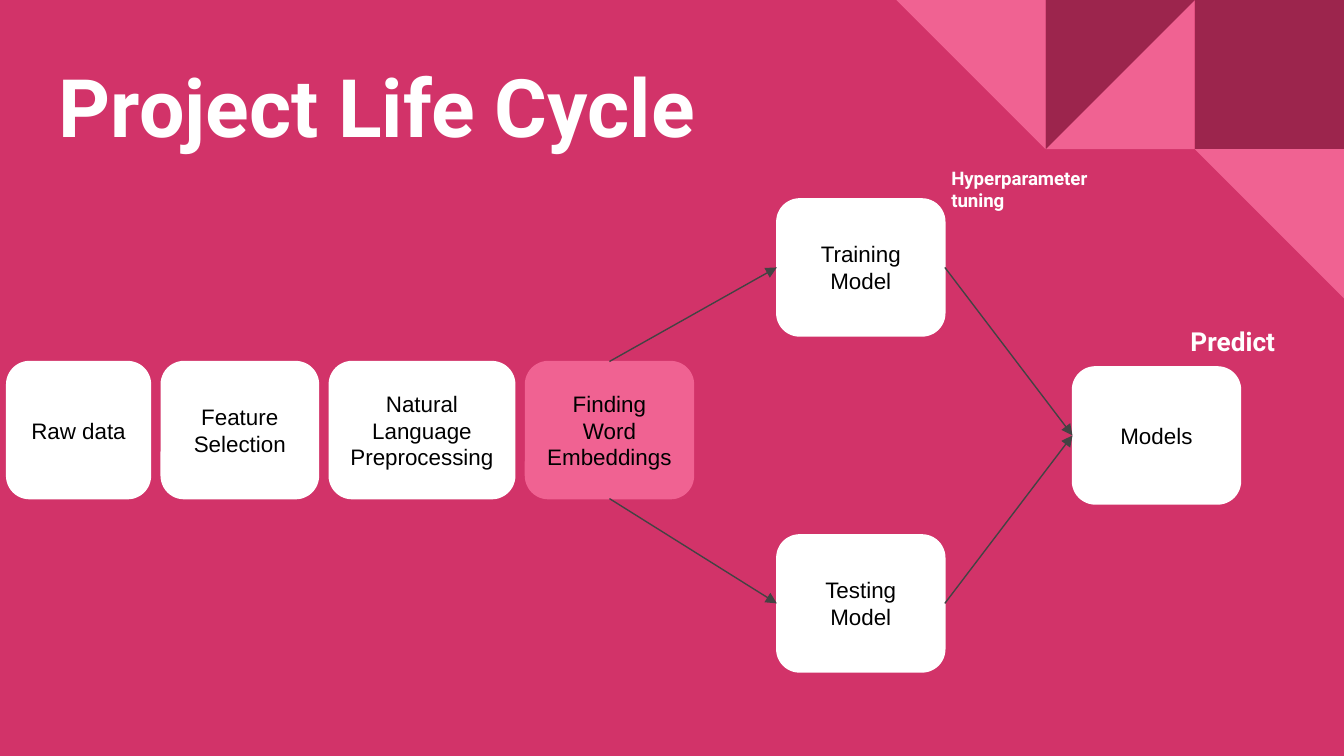
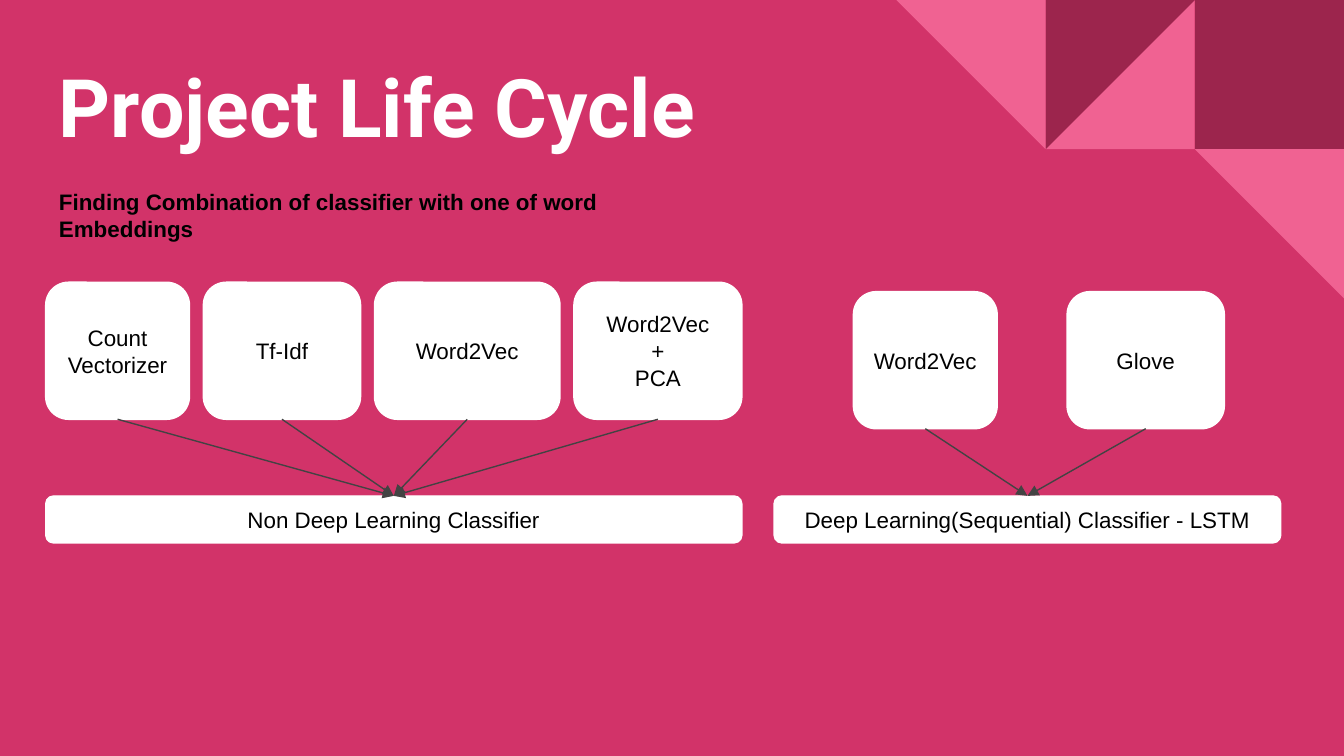
from dataclasses import dataclass

from lxml.etree import SubElement
from pptx import Presentation
from pptx.dml.color import RGBColor
from pptx.enum.shapes import MSO_CONNECTOR, MSO_SHAPE
from pptx.enum.text import MSO_ANCHOR, MSO_AUTO_SIZE, PP_ALIGN
from pptx.oxml.ns import qn
from pptx.shapes.autoshape import Shape
from pptx.slide import Slide
from pptx.text.text import TextFrame
from pptx.util import Inches, Pt

HUES = {
    "back": "D23369",
    "dark": "9C254D",
    "pink": "F06292",
    "white": "FFFFFF",
    "black": "000000",
    "gray": "434343",
}
TILE = 1.11  # side of a corner tile
TALL = 1.02  # height of a step box
WIDTHS = (1.07, 1.17, 1.38, 1.25)  # step boxes from left to right
TOP, LEFT, BOTTOM, RIGHT = range(4)  # connection sites of a box


@dataclass
class Tile:
    col: int  # columns from the right edge, starting at 1
    row: int
    hue: str
    kind: MSO_SHAPE = MSO_SHAPE.RIGHT_TRIANGLE
    turn: int = 180
    flip: bool = False


@dataclass
class Box:
    left: float
    top: float
    width: float
    text: str
    height: float = TALL
    hue: str = "white"


@dataclass
class Label:
    left: float
    top: float
    width: float
    height: float
    text: str
    size: float
    face: str = "Roboto"
    hue: str = "white"
    fit: bool = True  # the box grows with its text


TILES = (
    Tile(1, 0, "dark", MSO_SHAPE.RECTANGLE, 0),
    Tile(2, 0, "pink", turn=0, flip=True),
    Tile(2, 0, "dark", flip=True),
    Tile(3, 0, "pink"),
    Tile(1, 1, "pink"),
)
TITLE = Label(0.34, 0.45, 9.32, 0.66, "Project Life Cycle", 43.2, fit=False)


def rgb(hue: str) -> RGBColor:
    return RGBColor.from_string(HUES[hue])


def write(frame: TextFrame, text: str, size: float, face: str, hue: str,
          bold: bool, align: PP_ALIGN) -> None:
    frame.word_wrap = True
    frame.margin_left = frame.margin_right = Inches(0.1)
    frame.margin_top = frame.margin_bottom = Inches(0.1)
    frame.text = text
    for para in frame.paragraphs:
        para.alignment = align
        font = para.font
        font.size, font.name, font.bold = Pt(size), face, bold
        font.color.rgb = rgb(hue)


def add_tile(slide: Slide, tile: Tile) -> None:
    shape = slide.shapes.add_shape(
        tile.kind, Inches(10 - tile.col * TILE), Inches(tile.row * TILE),
        Inches(TILE), Inches(TILE))
    shape.shadow.inherit = False
    shape.fill.solid()
    shape.fill.fore_color.rgb = rgb(tile.hue)
    shape.line.fill.background()
    shape.rotation = tile.turn
    if tile.flip:
        shape.element.spPr.find(qn("a:xfrm")).set("flipH", "1")


def add_label(slide: Slide, label: Label) -> None:
    shape = slide.shapes.add_textbox(
        Inches(label.left), Inches(label.top),
        Inches(label.width), Inches(label.height))
    frame = shape.text_frame
    write(frame, label.text, label.size, label.face, label.hue, True, PP_ALIGN.LEFT)
    if label.fit:
        frame.auto_size = MSO_AUTO_SIZE.SHAPE_TO_FIT_TEXT
    else:
        frame.vertical_anchor = MSO_ANCHOR.MIDDLE


def add_box(slide: Slide, box: Box) -> Shape:
    shape = slide.shapes.add_shape(
        MSO_SHAPE.ROUNDED_RECTANGLE, Inches(box.left), Inches(box.top),
        Inches(box.width), Inches(box.height))
    shape.shadow.inherit = False
    shape.fill.solid()
    shape.fill.fore_color.rgb = rgb(box.hue)
    shape.line.color.rgb = rgb(box.hue)
    shape.line.width = Pt(0.75)
    shape.text_frame.vertical_anchor = MSO_ANCHOR.MIDDLE
    write(shape.text_frame, box.text, 12, "Arial", "black", False, PP_ALIGN.CENTER)
    return shape


def add_row(slide: Slide, left: float, top: float, span: float,
            texts: tuple[str, ...], last: str = "white") -> list[Shape]:
    """Spread boxes over the span with equal gaps."""
    wides = WIDTHS[:len(texts)]
    gap = (span - sum(wides)) / (len(texts) - 1)
    row = []
    for spot, (wide, text) in enumerate(zip(wides, texts)):
        hue = last if spot == len(texts) - 1 else "white"
        row.append(add_box(slide, Box(left, top, wide, text, hue=hue)))
        left += wide + gap
    return row


def add_arrow(slide: Slide, start: Shape, out: int, end: Shape, into: int) -> None:
    link = slide.shapes.add_connector(MSO_CONNECTOR.STRAIGHT, 0, 0, 0, 0)
    link.begin_connect(start, out)
    link.end_connect(end, into)
    link.line.color.rgb = rgb("gray")
    link.line.width = Pt(0.75)
    props = link.element.spPr
    SubElement(props.find(qn("a:ln")), qn("a:tailEnd"), type="triangle")
    SubElement(props, qn("a:effectLst"))


def add_slide(deck: Presentation) -> Slide:
    slide = deck.slides.add_slide(deck.slide_layouts[6])
    slide.background.fill.solid()
    slide.background.fill.fore_color.rgb = rgb("back")
    for tile in TILES:
        add_tile(slide, tile)
    add_label(slide, TITLE)
    return slide


def draw_cycle(slide: Slide) -> None:
    # Steps that prepare the data
    steps = ("Raw data", "Feature\nSelection", "Natural Language Preprocessing",
             "Finding\vWord Embeddings")
    words = add_row(slide, 0.05, 2.69, 5.11, steps, last="pink")[-1]

    # Branches that meet in the models
    train = add_box(slide, Box(5.78, 1.48, 1.25, "Training Model"))
    test = add_box(slide, Box(5.78, 3.98, 1.25, "Testing\nModel"))
    models = add_box(slide, Box(7.98, 2.73, 1.25, "Models"))
    for side, branch in ((TOP, train), (BOTTOM, test)):
        add_arrow(slide, words, side, branch, LEFT)
        add_arrow(slide, branch, RIGHT, models, LEFT)

    # Side notes
    add_label(slide, Label(6.98, 1.14, 1.57, 0.54, "Hyperparameter tuning", 10))
    add_label(slide, Label(8.76, 2.32, 1.57, 0.44, "Predict", 14))


def draw_group(slide: Slide, left: float, top: float, span: float,
               texts: tuple[str, ...], bar: Box) -> None:
    goal = add_box(slide, bar)
    for item in add_row(slide, left, top, span, texts):
        add_arrow(slide, item, BOTTOM, goal, TOP)


def draw_pairs(slide: Slide) -> None:
    add_label(slide, Label(
        0.34, 1.3, 4.91, 0.61,
        "Finding Combination of classifier with one of word Embeddings",
        12, "Arial", "black"))

    # Embeddings above the classifier that takes them
    draw_group(slide, 0.34, 2.1, 5.18,
               ("Count\nVectorizer", "Tf-Idf", "Word2Vec", "Word2Vec\n+\nPCA"),
               Box(0.34, 3.69, 5.18, "Non Deep Learning Classifier", 0.35))
    draw_group(slide, 6.35, 2.17, 2.76, ("Word2Vec", "Glove"),
               Box(5.76, 3.69, 3.77,
                   "Deep Learning(Sequential) Classifier - LSTM", 0.35))


def main() -> None:
    deck = Presentation()
    deck.slide_width = Inches(10)
    deck.slide_height = Inches(10 * 9 / 16)
    for draw in (draw_cycle, draw_pairs):
        draw(add_slide(deck))
    deck.save("out.pptx")


if __name__ == "__main__":
    main()
